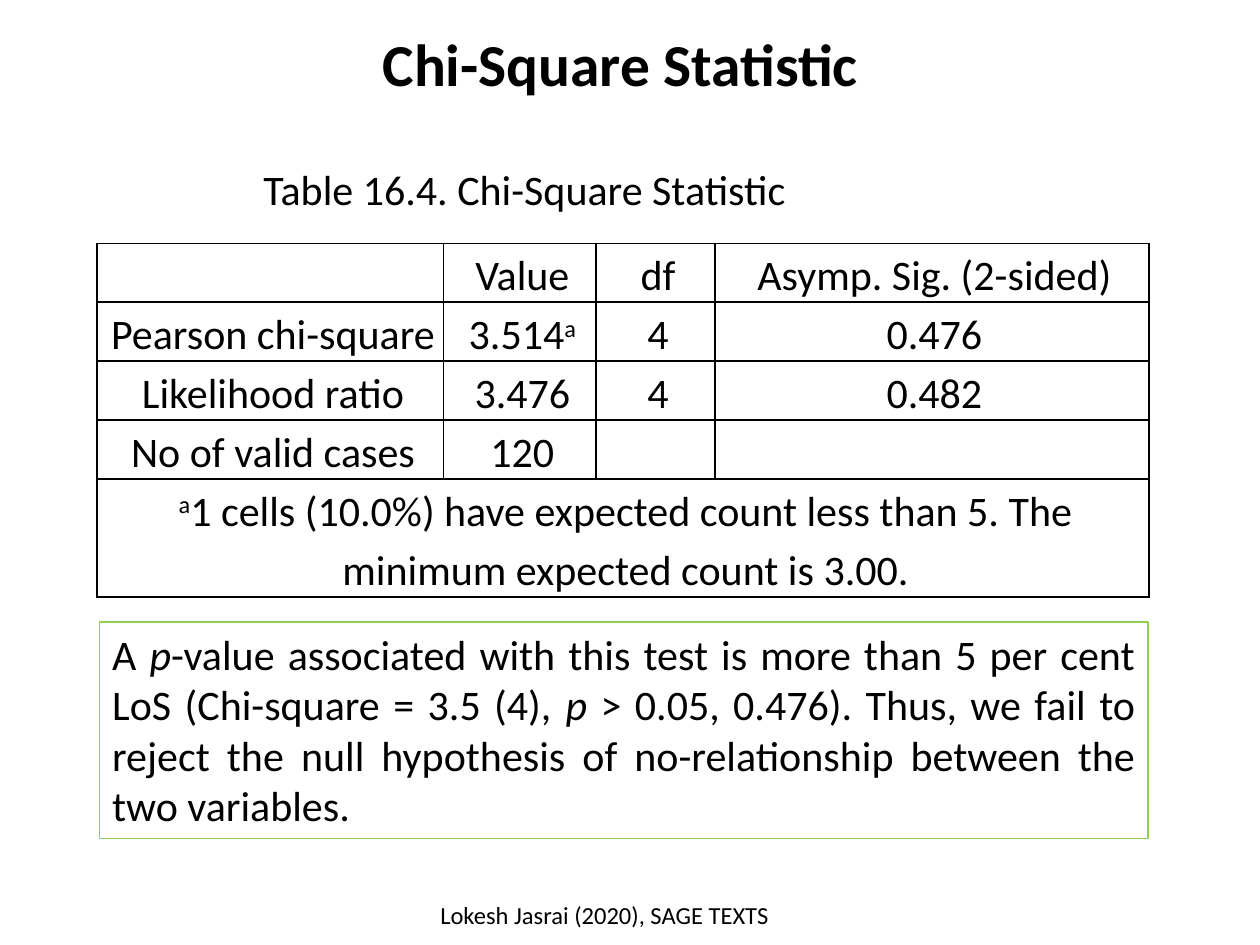
from lxml import etree
from pptx import Presentation
from pptx.dml.color import RGBColor
from pptx.enum import shapes, text
from pptx.oxml import ns
from pptx.util import Pt

COLORS = {"ink": "000000", "frame": "92D050"}
FONT = "Calibri"
COLUMN_WIDTHS = [198, 87, 68, 248]
ROW_HEIGHT = 33.1
ROWS = [
    ["", "Value", "df", "Asymp. Sig. (2-sided)"],
    ["Pearson chi-square", "3.514^a", "4", "0.476"],
    ["Likelihood ratio", "3.476", "4", "0.482"],
    ["No of valid cases", "120", "", ""],
    ["^a1 cells (10.0%) have expected count less than 5. "
     "The minimum expected count is 3.00."],
]
CONCLUSION = [
    ("A ", False),
    ("p", True),
    ("-value associated with this test is more than 5 per cent LoS "
     "(Chi-square = 3.5 (4), ", False),
    ("p", True),
    (" > 0.05, 0.476). Thus, we fail to reject the null hypothesis of "
     "no-relationship between the two variables.", False),
]


def format_paragraph(paragraph, size, align, bold=False):
    paragraph.alignment = align
    font = paragraph.font
    font.name, font.size, font.bold = FONT, Pt(size), bold
    font.color.rgb = RGBColor.from_string(COLORS["ink"])


def add_title(slide, words):
    title = slide.shapes.title
    title.left, title.top, title.width, title.height = Pt(79), Pt(17), Pt(551), Pt(43)
    frame = title.text_frame
    frame.text = words
    frame.vertical_anchor = text.MSO_ANCHOR.MIDDLE
    frame.paragraphs[0].line_spacing = 0.9
    format_paragraph(frame.paragraphs[0], 34, text.PP_ALIGN.CENTER, bold=True)


def add_label(slide, words, box, size, align, wrap=True):
    frame = slide.shapes.add_textbox(*map(Pt, box)).text_frame
    frame.word_wrap = wrap
    frame.text = words
    format_paragraph(frame.paragraphs[0], size, align)


def add_borders(cell):
    properties = cell._tc.get_or_add_tcPr()
    for position, side in enumerate(("a:lnL", "a:lnR", "a:lnT", "a:lnB")):
        line = etree.Element(ns.qn(side), w=str(Pt(1)))
        fill = etree.SubElement(line, ns.qn("a:solidFill"))
        etree.SubElement(fill, ns.qn("a:srgbClr"), val=COLORS["ink"])
        properties.insert(position, line)


def fill_cell(cell, words, anchor):
    """Write the words; the letter after a caret becomes a superscript."""
    cell.margin_left = cell.margin_right = cell.margin_top = cell.margin_bottom = 0
    cell.vertical_anchor = anchor
    paragraph = cell.text_frame.paragraphs[0]
    paragraph._p.get_or_add_pPr().set("marL", str(Pt(3)))
    paragraph.line_spacing = 1.15
    format_paragraph(paragraph, 24, text.PP_ALIGN.CENTER)
    before, _, after = words.partition("^")
    for part, raised in ((before, False), (after[:1], True), (after[1:], False)):
        if part:
            run = paragraph.add_run()
            run.text = part
            if raised:
                run._r.get_or_add_rPr().set("baseline", "30000")


def add_statistics_table(slide):
    height = ROW_HEIGHT * (len(ROWS) + 1)
    table = slide.shapes.add_table(
        len(ROWS), len(COLUMN_WIDTHS),
        Pt(55.5), Pt(139), Pt(sum(COLUMN_WIDTHS)), Pt(height)).table
    table.first_row = table.horz_banding = False
    for column, width in zip(table.columns, COLUMN_WIDTHS):
        column.width = Pt(width)
    for row in table.rows:
        row.height = Pt(ROW_HEIGHT)
    last = len(ROWS) - 1
    table.rows[last].height = Pt(2 * ROW_HEIGHT)
    table.cell(last, 0).merge(table.cell(last, len(COLUMN_WIDTHS) - 1))
    for cell in table.iter_cells():
        cell.fill.background()
        add_borders(cell)
    for r, row in enumerate(ROWS):
        for c, words in enumerate(row):
            if r == 0:
                anchor = text.MSO_ANCHOR.BOTTOM
            elif c == 0:
                anchor = text.MSO_ANCHOR.TOP
            else:
                anchor = text.MSO_ANCHOR.MIDDLE
            fill_cell(table.cell(r, c), words, anchor)


def add_conclusion(slide):
    shape = slide.shapes.add_shape(
        shapes.MSO_SHAPE.RECTANGLE, Pt(57), Pt(355.5), Pt(599), Pt(123.5))
    shape.shadow.inherit = False
    shape.fill.background()
    shape.line.color.rgb = RGBColor.from_string(COLORS["frame"])
    shape.line.width = Pt(0.75)
    frame = shape.text_frame
    frame.word_wrap = True
    frame.vertical_anchor = text.MSO_ANCHOR.TOP
    paragraph = frame.paragraphs[0]
    format_paragraph(paragraph, 24, text.PP_ALIGN.JUSTIFY)
    for words, italic in CONCLUSION:
        run = paragraph.add_run()
        run.text = words
        run.font.italic = italic
        run.font.color.rgb = RGBColor.from_string(COLORS["ink"])


def main():
    presentation = Presentation()
    presentation.slide_width, presentation.slide_height = Pt(720), Pt(540)
    slide = presentation.slides.add_slide(presentation.slide_layouts[5])
    add_title(slide, "Chi-Square Statistic")
    add_statistics_table(slide)
    add_label(slide, "Table 16.4. Chi-Square Statistic", (143.5, 90, 316, 36),
              24, text.PP_ALIGN.LEFT, wrap=False)
    add_conclusion(slide)
    add_label(slide, "Lokesh Jasrai (2020), SAGE TEXTS", (217, 510.5, 257, 29),
              14, text.PP_ALIGN.CENTER)
    presentation.save("out.pptx")


if __name__ == "__main__":
    main()
